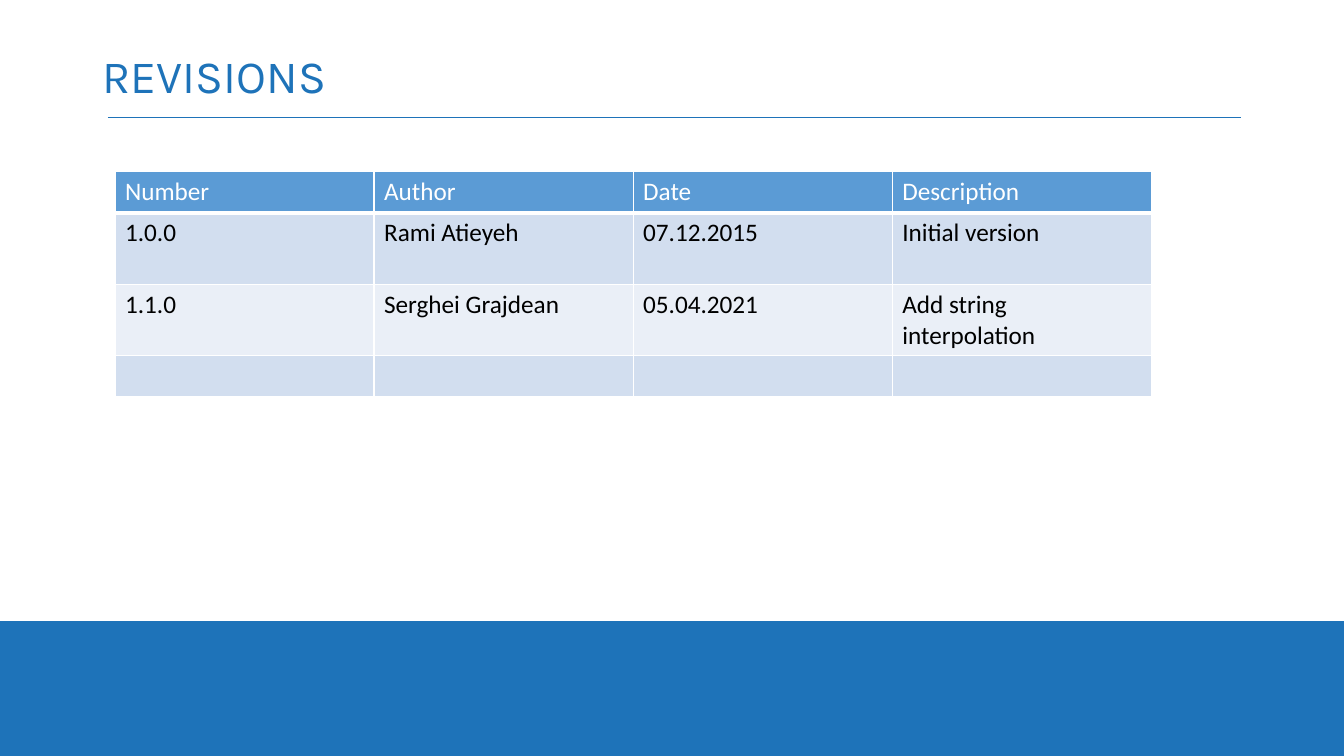
from lxml import etree
from pptx import Presentation
from pptx.dml.color import RGBColor
from pptx.enum.shapes import MSO_CONNECTOR, MSO_SHAPE
from pptx.enum.text import MSO_ANCHOR
from pptx.oxml.ns import qn
from pptx.util import Inches, Pt

STRAIGHT = MSO_CONNECTOR.STRAIGHT
RECTANGLE = MSO_SHAPE.RECTANGLE
MIDDLE = MSO_ANCHOR.MIDDLE

COLORS = {
    "brand": "1E73B9",
    "white": "FFFFFF",
    "black": "000000",
    "header": "5B9BD5",
    "odd": "D2DEEF",
    "even": "EAEFF7",
}
REVISIONS = [
    ["Number", "Author", "Date", "Description"],
    ["1.0.0", "Rami Atieyeh", "07.12.2015", "Initial version"],
    ["1.1.0", "Serghei Grajdean", "05.04.2021", "Add string interpolation"],
    ["", "", "", ""],
]
ROW_HEIGHTS = [0.41, 0.71, 0.71, 0.41]
ROW_FILLS = ["header", "odd", "even", "odd"]
COLUMN_WIDTH = 2.57


def rgb(name):
    return RGBColor.from_string(COLORS[name])


def add_border(cell, side, points):
    border = etree.SubElement(cell._tc.get_or_add_tcPr(), qn(f"a:{side}"), w=str(Pt(points)))
    fill = etree.SubElement(border, qn("a:solidFill"))
    etree.SubElement(fill, qn("a:srgbClr"), val=COLORS["white"])


deck = Presentation()
deck.slide_width = Inches(13.33)
deck.slide_height = Inches(7.5)
slide = deck.slides.add_slide(deck.slide_layouts[6])
slide.background.fill.solid()
slide.background.fill.fore_color.rgb = rgb("brand")

content_area = slide.shapes.add_shape(RECTANGLE, 0, 0, Inches(13.33), Inches(6.16))
content_area.shadow.inherit = False
content_area.fill.solid()
content_area.fill.fore_color.rgb = rgb("white")
content_area.line.fill.background()

title_rule = slide.shapes.add_connector(
    STRAIGHT, Inches(1.07), Inches(1.16), Inches(12.31), Inches(1.16)
)
title_rule.line.color.rgb = rgb("brand")
title_rule.line.width = Pt(0.5)
etree.SubElement(title_rule._element.spPr, qn("a:effectLst"))

title = slide.shapes.add_textbox(Inches(0.92), Inches(0.4), Inches(11.5), Inches(0.76))
title.text_frame.word_wrap = True
title.text_frame.vertical_anchor = MIDDLE
heading = title.text_frame.paragraphs[0]
heading.line_spacing = 0.9
heading_run = heading.add_run()
heading_run.text = "REVISIONS"
heading_run.font.name = "Karla"
heading_run.font.size = Pt(33)
heading_run.font.color.rgb = rgb("brand")

revision_table = slide.shapes.add_table(
    len(REVISIONS), len(REVISIONS[0]), Inches(1.14), Inches(1.7),
    Inches(COLUMN_WIDTH * len(REVISIONS[0])), Inches(sum(ROW_HEIGHTS)),
).table
for column in revision_table.columns:
    column.width = Inches(COLUMN_WIDTH)

for row_index, revision in enumerate(REVISIONS):
    revision_table.rows[row_index].height = Inches(ROW_HEIGHTS[row_index])
    is_header = row_index == 0
    for column_index, wording in enumerate(revision):
        cell = revision_table.cell(row_index, column_index)
        cell.text = wording
        text_format = {"name": "Calibri", "size": Pt(18), "bold": False}
        for attribute, value in text_format.items():
            setattr(cell.text_frame.paragraphs[0].font, attribute, value)
        cell.text_frame.paragraphs[0].font.color.rgb = rgb("white" if is_header else "black")
        for side in ("lnL", "lnR", "lnT", "lnB"):
            add_border(cell, side, 3 if is_header and side == "lnB" else 1)
        cell.fill.solid()
        cell.fill.fore_color.rgb = rgb(ROW_FILLS[row_index])

deck.save("out.pptx")
